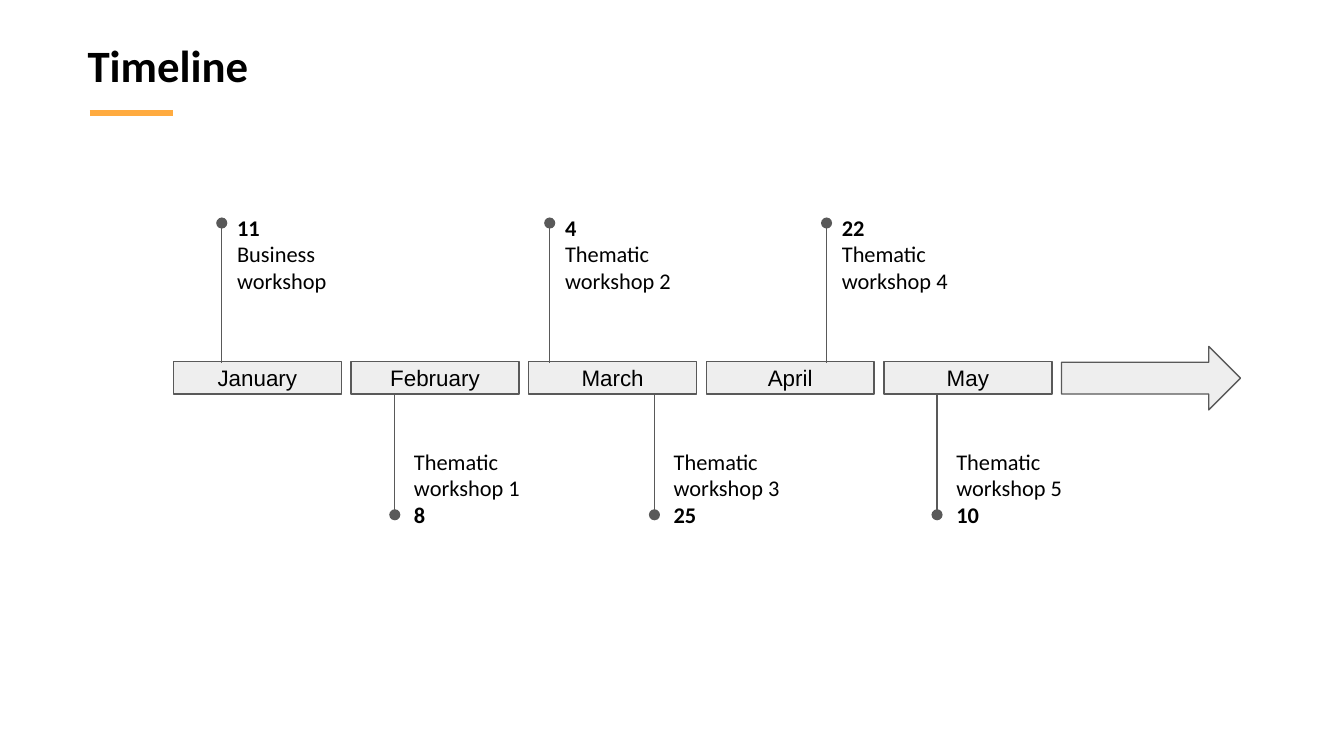
from copy import deepcopy

from lxml.etree import SubElement
from pptx import Presentation
from pptx.dml.color import RGBColor
from pptx.enum.shapes import MSO_CONNECTOR, MSO_SHAPE
from pptx.enum.text import MSO_ANCHOR, PP_ALIGN
from pptx.oxml.ns import qn
from pptx.util import Pt

COLORS = {"text": "000000", "line": "595959", "fill": "EEEEEE", "accent": "FFAB40"}
MONTHS = ["January", "February", "March", "April", "May"]
ABOVE = [
    (118.8, "11", "Business\nworkshop"),
    (294.5, "4", "Thematic\nworkshop 2"),
    (442.8, "22", "Thematic\nworkshop 4"),
]
BELOW = [
    (211.5, "8", "Thematic\nworkshop 1"),
    (350.6, "25", "Thematic\nworkshop 3"),
    (502, "10", "Thematic\nworkshop 5"),
]
LEFT, STEP, TOP, WIDTH, HEIGHT = 92.9, 95.15, 193.7, 90, 17.4


def color(name):
    return RGBColor.from_string(COLORS[name])


def add_text(p, text, size=12, font="Calibri", bold=False):
    for i, line in enumerate(text.split("\n")):
        if i:
            p.add_line_break()
            p._p[-1].append(deepcopy(r._r.rPr))
        r = p.add_run()
        r.text = line
        r.font.size = Pt(size)
        r.font.name = font
        r.font.bold = bold
        r.font.color.rgb = color("text")


class Timeline:
    """Draws timeline elements on one slide in a shared style."""

    def __init__(self, s):
        self.s = s
        self.weight = 0.75
        self.inset = 7.2

    def frame(self, sp):
        tf = sp.text_frame
        tf.word_wrap = True
        tf.margin_left = tf.margin_right = Pt(self.inset)
        tf.margin_top = tf.margin_bottom = Pt(self.inset)
        return tf

    def text(self, x, y, w, h):
        return self.frame(self.s.shapes.add_textbox(Pt(x), Pt(y), Pt(w), Pt(h)))

    def shape(self, kind, x, y, w, h):
        sp = self.s.shapes.add_shape(kind, Pt(x), Pt(y), Pt(w), Pt(h))
        sp.shadow.inherit = False
        sp.fill.solid()
        sp.fill.fore_color.rgb = color("fill")
        sp.line.color.rgb = color("line")
        sp.line.width = Pt(self.weight)
        return sp

    def month(self, x, name):
        tf = self.frame(self.shape(MSO_SHAPE.RECTANGLE, x, TOP, WIDTH, HEIGHT))
        tf.vertical_anchor = MSO_ANCHOR.MIDDLE
        p = tf.paragraphs[0]
        p.alignment = PP_ALIGN.CENTER
        add_text(p, name, font="Arial")

    def line(self, x1, y1, x2, y2, name="line", weight=None, tail=None):
        c = self.s.shapes.add_connector(
            MSO_CONNECTOR.STRAIGHT, Pt(x1), Pt(y1), Pt(x2), Pt(y2))
        c.line.color.rgb = color(name)
        c.line.width = Pt(weight or self.weight)
        if tail:
            SubElement(c.line._get_or_add_ln(), qn("a:tailEnd"), type=tail)
        SubElement(c._element.spPr, qn("a:effectLst"))

    def event_above(self, x, day, label):
        self.line(x, 194.4, x, 119.5, tail="oval")
        p = self.text(x + 1.1, 107.3, 142, 58).paragraphs[0]
        add_text(p, day + "\n", bold=True)
        p._p.remove(p.runs[-1]._r)
        add_text(p, label)

    def event_below(self, x, day, label):
        self.line(x, 211, x, 275.8, tail="oval")
        tf = self.text(x + 3.2, 232.7, 142, 58)
        add_text(tf.paragraphs[0], label)
        add_text(tf.add_paragraph(), day, bold=True)


def main():
    prs = Presentation()
    prs.slide_width, prs.slide_height = Pt(720), Pt(405)
    t = Timeline(prs.slides.add_slide(prs.slide_layouts[6]))
    add_text(t.text(39.8, 13, 558, 34.6).paragraphs[0], "Timeline", size=24, bold=True)
    t.line(48.2, 60.5, 92.9, 60.5, name="accent", weight=3)
    t.shape(MSO_SHAPE.RIGHT_ARROW, LEFT + STEP * len(MONTHS), 185.6, 95.9, 34)
    for i, name in enumerate(MONTHS):
        t.month(LEFT + STEP * i, name)
    for event in ABOVE:
        t.event_above(*event)
    for event in BELOW:
        t.event_below(*event)
    prs.save("out.pptx")


if __name__ == "__main__":
    main()
